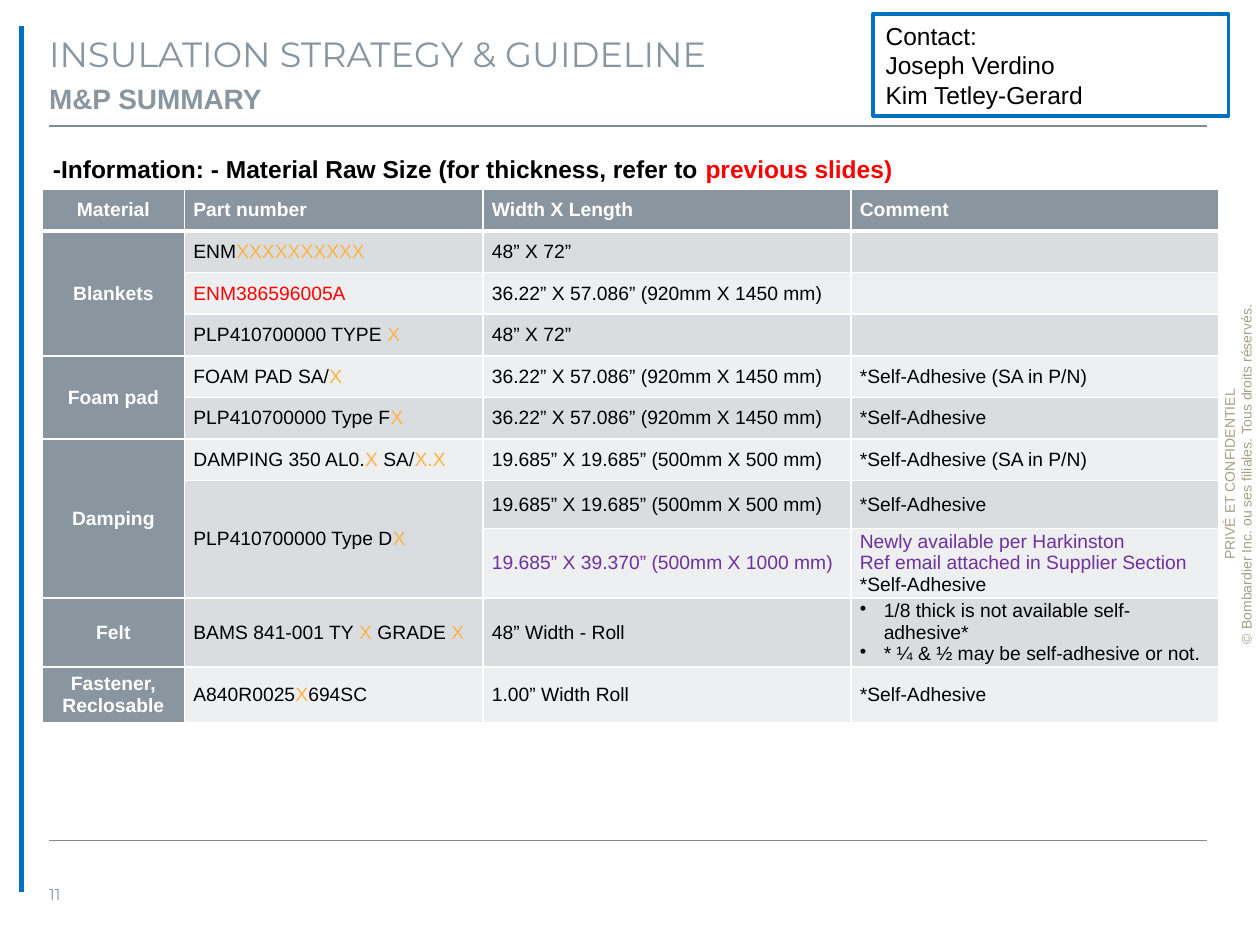
from itertools import chain, cycle

from pptx import Presentation
from pptx.dml.color import RGBColor
from pptx.enum.shapes import MSO_CONNECTOR as Connector, MSO_SHAPE as Shape
from pptx.enum.text import MSO_ANCHOR as Anchor, PP_ALIGN as Align
from pptx.oxml.ns import qn
from pptx.util import Inches, Pt
from lxml.etree import SubElement

SLATE = RGBColor(0x89, 0x96, 0xA0)
RULE_GREY = RGBColor(0x80, 0x8D, 0x97)
BLUE = RGBColor(0x00, 0x70, 0xC0)
SAND = RGBColor(0xA6, 0x9F, 0x88)
ORANGE = RGBColor(0xFF, 0xB3, 0x46)
RED = RGBColor(0xFF, 0x00, 0x00)
PURPLE = RGBColor(0x70, 0x30, 0xA0)
BLACK = RGBColor(0x00, 0x00, 0x00)
WHITE = RGBColor(0xFF, 0xFF, 0xFF)
DARK_BAND = RGBColor(0xDA, 0xDD, 0xDF)
LIGHT_BAND = RGBColor(0xED, 0xEF, 0xF0)

WIDTH, HEIGHT = Inches(10), Inches(7.5)
COLUMNS = (11.3, 23.7, 29.2, 29.2)
ROWS = (4.4,) * 7 + (5.07,) * 2 + (5.87,) * 2
HEADINGS = ("Material", "Part number", "Width X Length", "Comment")

SHEET = "36.22” X 57.086” (920mm X 1450 mm)"
TILE = "19.685” X 19.685” (500mm X 500 mm)"
ADHESIVE = "*Self-Adhesive"
ADHESIVE_PN = "*Self-Adhesive (SA in P/N)"

MATERIALS = {
    "Blankets": [
        (["ENM", ("XXXXXXXXXX", ORANGE)], ["48” X 72”"], []),
        ([("ENM386596005A", RED)], [SHEET], []),
        (["PLP410700000 TYPE ", ("X", ORANGE)], ["48” X 72”"], []),
    ],
    "Foam pad": [
        (["FOAM PAD SA/", ("X", ORANGE)], [SHEET], [[ADHESIVE_PN]]),
        (["PLP410700000 Type F", ("X", ORANGE)], [SHEET], [[ADHESIVE]]),
    ],
    "Damping": [
        (["DAMPING 350 AL0.", ("X", ORANGE), " SA/", ("X.X", ORANGE)],
         [TILE], [[ADHESIVE_PN]]),
        (["PLP410700000 Type D", ("X", ORANGE)], [TILE], [[ADHESIVE]]),
        (None, [("19.685” X 39.370” (500mm X 1000 mm)", PURPLE)],
         [[("Newly available per Harkinston", PURPLE)],
          [("Ref email attached in Supplier Section", PURPLE)],
          [ADHESIVE]]),
    ],
    "Felt": [
        (["BAMS 841-001 TY ", ("X", ORANGE), " GRADE ", ("X", ORANGE)],
         ["48” Width - Roll"],
         [["1/8 thick is not available self-adhesive*"],
          ["* ¼ & ½ may be self-adhesive or not."]]),
    ],
    "Fastener, Reclosable": [
        (["A840R0025", ("X", ORANGE), "694SC"], ["1.00” Width Roll"], [[ADHESIVE]]),
    ],
}


def across(percent):
    return round(WIDTH * percent / 100)


def down(percent):
    return round(HEIGHT * percent / 100)


def area(left, top, width, height):
    return across(left), down(top), across(width), down(height)


def write(frame, paragraphs, size, colour=BLACK, bold=False, font="Arial", align=Align.LEFT):
    for index, pieces in enumerate(paragraphs):
        para = frame.add_paragraph() if index else frame.paragraphs[0]
        para.alignment = align
        for piece in pieces:
            text, tint = piece if isinstance(piece, tuple) else (piece, colour)
            span = para.add_run()
            span.text = text
            span.font.name = font
            span.font.size = Pt(size)
            span.font.bold = bold
            span.font.color.rgb = tint


def add_text(page, place, paragraphs, size, inset=0.05, wrap=True, anchor=Anchor.TOP, **style):
    box = page.shapes.add_textbox(*area(*place))
    frame = box.text_frame
    frame.word_wrap = wrap
    frame.vertical_anchor = anchor
    frame.margin_left = frame.margin_right = 0
    frame.margin_top = frame.margin_bottom = Inches(inset)
    write(frame, paragraphs, size, **style)
    return box


def add_rule(page, start, end, colour, weight):
    rule = page.shapes.add_connector(
        Connector.STRAIGHT, across(start[0]), down(start[1]), across(end[0]), down(end[1]))
    rule.line.color.rgb = colour
    rule.line.width = Pt(weight)
    SubElement(rule._element.spPr, qn("a:effectLst"))


def add_contact(page):
    card = page.shapes.add_shape(Shape.RECTANGLE, *area(69.3, 1.47, 28.2, 10.8))
    card.shadow.inherit = False
    card.fill.background()
    card.line.color.rgb = BLUE
    card.line.width = Pt(2)
    card.text_frame.vertical_anchor = Anchor.MIDDLE
    write(card.text_frame, [["Contact:"], ["Joseph Verdino"], ["Kim Tetley-Gerard"]], 14)


def style_cell(cell, fill, bottom=1):
    properties = cell._tc.get_or_add_tcPr()
    for side, weight in (("L", 1), ("R", 1), ("T", 1), ("B", bottom)):
        border = SubElement(properties, qn(f"a:ln{side}"), w=str(Pt(weight)))
        paint = SubElement(border, qn("a:solidFill"))
        SubElement(paint, qn("a:srgbClr"), val=str(WHITE))
    cell.fill.solid()
    cell.fill.fore_color.rgb = fill
    cell.vertical_anchor = Anchor.MIDDLE
    cell.margin_left = cell.margin_right = Inches(0.07)
    cell.margin_top = cell.margin_bottom = 0


def add_bullets(frame):
    for para in frame.paragraphs:
        properties = para._p.get_or_add_pPr()
        properties.set("marL", str(Inches(0.19)))
        properties.set("indent", str(-Inches(0.19)))
        SubElement(properties, qn("a:buChar"), char="•")


def fill_material(table, first, name, entries):
    last = first + len(entries) - 1
    if last > first:
        table.cell(first, 0).merge(table.cell(last, 0))
    write(table.cell(first, 0).text_frame, [[name]], 11, WHITE, True, align=Align.CENTER)
    for row, (part, size, comment) in enumerate(entries, first):
        if part is None:
            table.cell(row - 1, 1).merge(table.cell(row, 1))
        else:
            write(table.cell(row, 1).text_frame, [part], 11)
        write(table.cell(row, 2).text_frame, [size], 11)
        write(table.cell(row, 3).text_frame, comment, 11)
        if name == "Felt":
            add_bullets(table.cell(row, 3).text_frame)


def add_materials(page):
    place = area(3.35, 20.05, sum(COLUMNS), sum(ROWS))
    table = page.shapes.add_table(len(ROWS), len(COLUMNS), *place).table
    for column, share in zip(table.columns, COLUMNS):
        column.width = across(share)
    for row, share in zip(table.rows, ROWS):
        row.height = down(share)
    bands = chain([SLATE], cycle([DARK_BAND, LIGHT_BAND]))
    for index, (row, band) in enumerate(zip(table.rows, bands)):
        for column, cell in enumerate(row.cells):
            style_cell(cell, band if column else SLATE, 1 if index else 3)
    for column, heading in enumerate(HEADINGS):
        align = Align.LEFT if column else Align.CENTER
        write(table.cell(0, column).text_frame, [[heading]], 11, WHITE, True, align=align)
    first = 1
    for name, entries in MATERIALS.items():
        fill_material(table, first, name, entries)
        first += len(entries)


def main():
    deck = Presentation()
    deck.slide_width, deck.slide_height = WIDTH, HEIGHT
    page = deck.slides.add_slide(deck.slide_layouts[6])
    notice = add_text(
        page, (84.6, 48.4, 27.3, 3.6),
        [["PRIVÉ ET CONFIDENTIEL"], ["© Bombardier Inc. ou ses filiales. Tous droits réservés."]],
        8, inset=0, wrap=False, colour=SAND, align=Align.CENTER)
    notice.rotation = 270
    for level in (88.93, 13.33):
        add_rule(page, (3.9, level), (95.8, level), RULE_GREY, 1)
    add_text(page, (3.9, 8, 91.7, 4.13), [["M&P SUMMARY"]], 16, colour=SLATE, bold=True)
    add_text(page, (3.9, 2.8, 91.8, 6.27), [["INSULATION STRATEGY & GUIDELINE"]], 20,
             colour=SLATE, font="Montserrat")
    add_text(page, (3.9, 92, 3.5, 5.2), [["11"]], 9, anchor=Anchor.MIDDLE,
             colour=SLATE, font="Montserrat")
    add_text(page, (4.2, 15.6, 93.5, 73.33),
             [["-Information: - Material Raw Size (for thickness, refer to ",
               ("previous slides)", RED)]], 14, bold=True)
    add_rule(page, (1.7, 2.8), (1.7, 94.4), BLUE, 3)
    add_materials(page)
    add_contact(page)
    deck.save("out.pptx")


if __name__ == "__main__":
    main()
